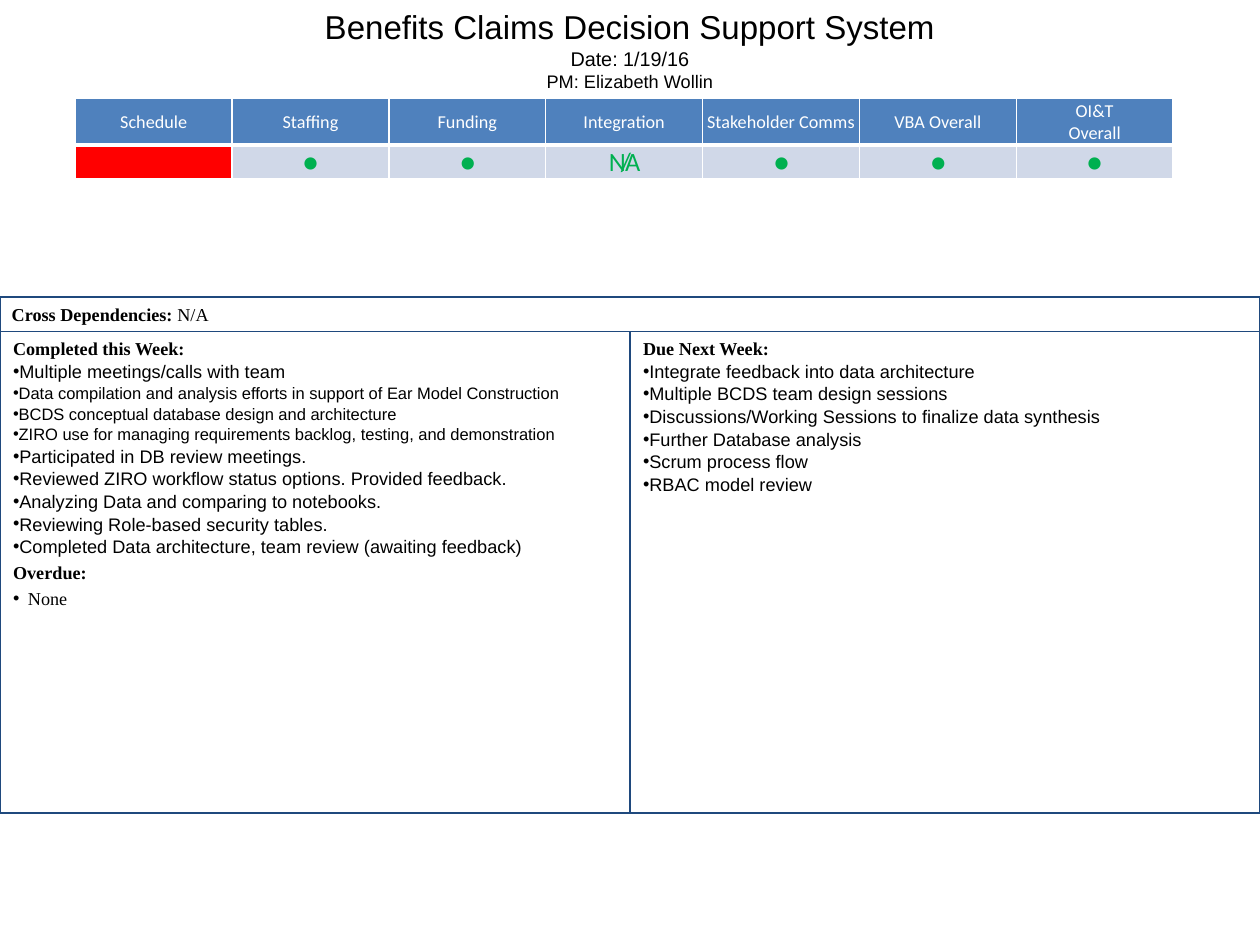
from dataclasses import dataclass

from lxml import etree
from pptx import Presentation
from pptx.dml.color import RGBColor
from pptx.enum.text import MSO_ANCHOR, MSO_AUTO_SIZE, PP_ALIGN
from pptx.oxml.ns import qn
from pptx.util import Pt

CENTER, LEFT = PP_ALIGN.CENTER, PP_ALIGN.LEFT
MIDDLE, TOP = MSO_ANCHOR.MIDDLE, MSO_ANCHOR.TOP
NO_FIT = MSO_AUTO_SIZE.NONE


@dataclass(frozen=True)
class Theme:
    """Colours, fonts and type sizes of the status report."""
    black: str = "000000"
    white: str = "FFFFFF"
    navy: str = "1F497D"
    header: str = "4F81BD"
    band: str = "D0D8E8"
    red: str = "FF0000"
    green: str = "00B050"
    sans: str = "Arial"
    serif: str = "Times New Roman"
    table: str = "Calibri"
    title: int = 20
    date: int = 12
    text: int = 11
    small: int = 10
    status: int = 16


def apply(obj, values):
    """Set each attribute of obj from a dict of values."""
    for name, value in values.items():
        setattr(obj, name, value)


class Report:
    """Draws the elements of a status report on one slide."""

    def __init__(self, s, theme):
        """Keep the slide and its style."""
        self.s, self.t = s, theme

    def run(self, p, text, size, font, color=None, bold=False):
        """Add a formatted run to a paragraph."""
        r = p.add_run()
        r.text = text
        apply(r.font, {"size": Pt(size), "name": font, "bold": bold})
        r.font.color.rgb = RGBColor.from_string(color or self.t.black)
        return r

    def paragraph(self, tf, first, before=0, align=LEFT):
        """Return the first paragraph of a frame or a new one."""
        p = tf.paragraphs[0] if first else tf.add_paragraph()
        apply(p, {"alignment": align, "space_before": Pt(0 if first else before),
                  "space_after": Pt(0), "line_spacing": 1.0})
        return p

    def bullet(self, p, indent=0):
        """Give a paragraph a round bullet and a hanging indent in points."""
        pPr = p._p.get_or_add_pPr()
        pPr.set("marL", str(Pt(indent)))
        pPr.set("indent", str(-Pt(indent)))
        etree.SubElement(pPr, qn("a:buFont")).set("typeface", self.t.sans)
        etree.SubElement(pPr, qn("a:buChar")).set("char", "•")

    def frame(self, tf, anchor, side, edge=3.6):
        """Set the wrapping, anchor and insets of a text frame."""
        apply(tf, {"word_wrap": True, "auto_size": NO_FIT, "vertical_anchor": anchor,
                   "margin_left": Pt(side), "margin_right": Pt(side),
                   "margin_top": Pt(edge), "margin_bottom": Pt(edge)})

    def title(self, lines, width, height):
        """Fill the title placeholder with lines of (text, size)."""
        sp = self.s.shapes.title
        apply(sp, {"left": Pt(0), "top": Pt(0), "width": Pt(width), "height": Pt(height)})
        self.frame(sp.text_frame, MIDDLE, 7.9)
        for i, (text, size) in enumerate(lines):
            p = self.paragraph(sp.text_frame, i == 0, align=CENTER)
            self.run(p, text, size, self.t.sans)

    def box(self, x, y, w, h, side=7.9):
        """Add an outlined text box and return its text frame."""
        sp = self.s.shapes.add_textbox(Pt(x), Pt(y), Pt(w), Pt(h))
        sp.line.color.rgb = RGBColor.from_string(self.t.navy)
        sp.line.width = Pt(1)
        self.frame(sp.text_frame, TOP, side)
        return sp.text_frame

    def heading(self, tf, text, first=True):
        """Add a bold serif heading paragraph."""
        p = self.paragraph(tf, first, before=2.4)
        self.run(p, text, self.t.text, self.t.serif, bold=True)
        return p

    def items(self, tf, texts, small=()):
        """Add bulleted lines, with those at the given indexes in small type."""
        for i, text in enumerate(texts):
            p = self.paragraph(tf, False, before=0.5)
            self.bullet(p)
            self.run(p, text, self.t.small if i in small else self.t.text, self.t.sans)

    def borders(self, cell, widths):
        """Draw white cell borders with widths in points by side."""
        tcPr = cell._tc.get_or_add_tcPr()
        for side, width in widths.items():
            ln = etree.SubElement(tcPr, qn(f"a:ln{side}"), w=str(Pt(width)))
            fill = etree.SubElement(ln, qn("a:solidFill"))
            etree.SubElement(fill, qn("a:srgbClr")).set("val", self.t.white)

    def cell(self, cell, text, size, color, fill, widths):
        """Fill and format one table cell."""
        self.borders(cell, widths)
        cell.fill.solid()
        cell.fill.fore_color.rgb = RGBColor.from_string(fill)
        apply(cell, {"vertical_anchor": MIDDLE, "margin_left": Pt(0.7),
                     "margin_right": Pt(0.7), "margin_top": Pt(0.7), "margin_bottom": Pt(0)})
        for i, line in enumerate(text.split("\n")):
            p = self.paragraph(cell.text_frame, i == 0, align=CENTER)
            if not line:
                p._p.get_or_add_endParaRPr().set("sz", str(size * 100))
                continue
            r = self.run(p, line, size, self.t.table, color)
            if size == self.t.status:
                r._r.get_or_add_rPr().set("spc", "-300")

    def status_table(self, statuses, x, y, w, heights):
        """Add the table of status names and marks."""
        t = self.t
        tb = self.s.shapes.add_table(2, len(statuses), Pt(x), Pt(y), Pt(w),
                                     Pt(sum(heights))).table
        for row, height in zip(tb.rows, heights):
            row.height = Pt(height)
        for i, (name, mark) in enumerate(statuses):
            tb.columns[i].width = Pt(w / len(statuses))
            self.cell(tb.cell(0, i), name, t.text, t.white, t.header,
                      {"L": 1, "R": 1, "T": 1, "B": 3})
            self.cell(tb.cell(1, i), mark, t.status, t.green, t.band if mark else t.red,
                      {"L": 1, "R": 1, "T": 3, "B": 1})


def main():
    """Build and save the weekly status slide."""
    width, height, panel_y, panel_h = 763.2, 576, 200.9, 291.6
    prs = Presentation()
    prs.slide_width, prs.slide_height = Pt(width), Pt(height)
    t = Theme()
    rep = Report(prs.slides.add_slide(prs.slide_layouts[5]), t)

    rep.title([("Benefits Claims Decision Support System", t.title),
               ("Date: 1/19/16", t.date), ("PM: Elizabeth Wollin", t.text)], width, 59.8)
    rep.status_table([("Schedule", ""), ("Staffing", "●"), ("Funding", " ●"),
                      ("Integration", " N/A"), ("Stakeholder Comms", " ●"),
                      ("VBA Overall", " ●"), ("OI&T\nOverall", "●")],
                     45.6, 59.8, 665, (21, 15))

    tf = rep.box(0, 180, width, panel_y - 180, side=7.2)
    p = rep.heading(tf, "Cross Dependencies: ")
    rep.run(p, "N/A", t.text, t.serif)

    tf = rep.box(0, panel_y, width / 2, panel_h)
    rep.heading(tf, "Completed this Week:")
    rep.items(tf, ["Multiple meetings/calls with team",
                   "Data compilation and analysis efforts in support of Ear Model Construction",
                   "BCDS conceptual database design and architecture",
                   "ZIRO use for managing requirements backlog, testing, and demonstration",
                   "Participated in DB review meetings.",
                   "Reviewed ZIRO workflow status options. Provided feedback.",
                   "Analyzing Data and comparing to notebooks.",
                   "Reviewing Role-based security tables.",
                   "Completed Data architecture, team review (awaiting feedback)"],
              small=(1, 2, 3))
    rep.heading(tf, "Overdue:", first=False)
    p = rep.paragraph(tf, False, before=2.4)
    rep.bullet(p, 9)
    rep.run(p, "None", t.text, t.serif)

    tf = rep.box(width / 2, panel_y, width / 2, panel_h)
    rep.heading(tf, "Due Next Week:")
    rep.items(tf, ["Integrate feedback into data architecture",
                   "Multiple BCDS team design sessions",
                   "Discussions/Working Sessions to finalize data synthesis",
                   "Further Database analysis", "Scrum process flow", "RBAC model review"])
    prs.save("out.pptx")


if __name__ == "__main__":
    main()
